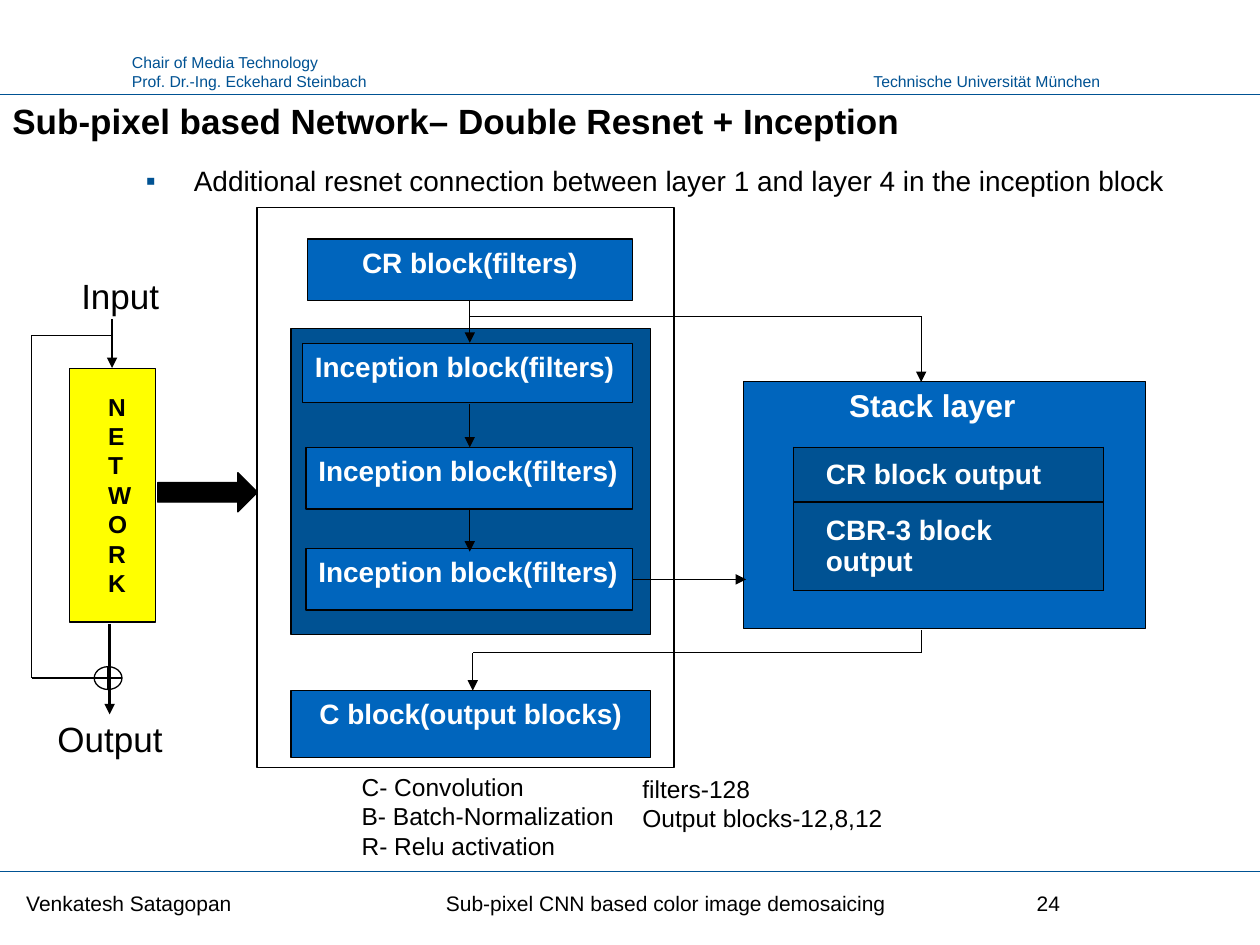
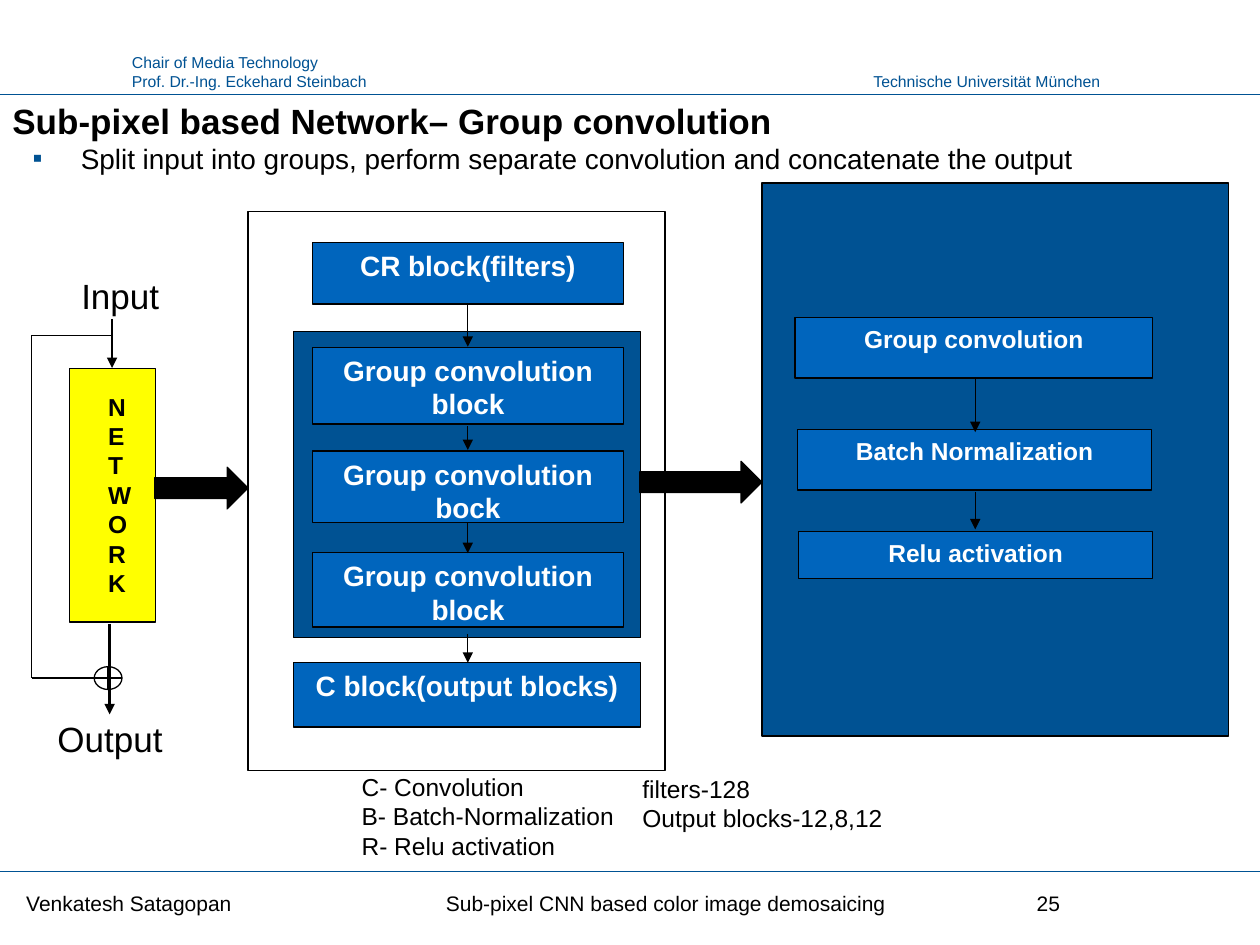
"""Build two slides on sub-pixel demosaicing networks."""
from lxml import etree
from pptx import Presentation
from pptx.dml.color import RGBColor
from pptx.enum import shapes, text
from pptx.oxml import ns
from pptx.util import Cm, Pt

COLOURS = {"black": "000000", "white": "FFFFFF", "navy": "005293",
           "blue": "0065BD", "yellow": "FFFF00"}
FONT = "Arial"
LEFT, CENTRE, RIGHT = text.PP_ALIGN.LEFT, text.PP_ALIGN.CENTER, text.PP_ALIGN.RIGHT
KIND = shapes.MSO_SHAPE
FOOTER = "Venkatesh Satagopan\tSub-pixel CNN based color image demosaicing"


def colour(name):
    """Return a palette colour."""
    return RGBColor.from_string(COLOURS[name])


def add_xml(parent, tag, **attributes):
    """Append a drawing element to its parent."""
    return etree.SubElement(parent, ns.qn(tag), attributes)


def add_colour_xml(parent, name):
    """Append a palette colour element."""
    add_xml(parent, "a:srgbClr", val=COLOURS[name])


def write(frame, lines, size, ink="black", bold=False, align=LEFT):
    """Write one paragraph per line into a text frame."""
    for index, line in enumerate(lines):
        para = frame.add_paragraph() if index else frame.paragraphs[0]
        para.alignment = align
        span = para.add_run()
        span.text = line
        span.font.name = FONT
        span.font.size = Pt(size)
        span.font.bold = bold
        span.font.color.rgb = colour(ink)


def add_text(page, place, lines, size, wrap=True, anchor=text.MSO_ANCHOR.TOP, **style):
    """Add a text box at left, top, width, height in centimetres."""
    box = page.shapes.add_textbox(*map(Cm, place))
    box.text_frame.word_wrap = wrap
    box.text_frame.vertical_anchor = anchor
    write(box.text_frame, lines, size, **style)
    return box


def add_block(page, place, fill, label=None, size=16, align=CENTRE, kind=KIND.RECTANGLE):
    """Add an outlined shape with an optional white label."""
    block = page.shapes.add_shape(kind, *map(Cm, place))
    block.shadow.inherit = False
    block.fill.solid()
    block.fill.fore_color.rgb = colour(fill)
    block.line.color.rgb = colour("black")
    block.line.width = Pt(0.75)
    if label:
        block.text_frame.word_wrap = True
        block.text_frame.vertical_anchor = text.MSO_ANCHOR.TOP
        write(block.text_frame, [label], size, "white", True, align)


def add_big_arrow(page, place):
    """Add a thick black arrow pointing right."""
    add_block(page, place, "black", kind=KIND.RIGHT_ARROW)


def add_line(page, start, end, head=False, ink="black", width=0.75):
    """Add a straight line, with an arrowhead at its end if wanted."""
    line = page.shapes.add_connector(
        shapes.MSO_CONNECTOR.STRAIGHT, *map(Cm, (*start, *end)))
    line.line.color.rgb = colour(ink)
    line.line.width = Pt(width)
    if head:
        add_xml(line.line._get_or_add_ln(), "a:tailEnd", type="triangle")
    add_xml(line._element.spPr, "a:effectLst")


def add_route(page, *points, head=True):
    """Join points by lines, with an arrowhead on the last one."""
    for index, (start, end) in enumerate(zip(points, points[1:]), 2):
        add_line(page, start, end, head and index == len(points))


def add_down_arrows(page, x, spans):
    """Add vertical arrows at x for each top and bottom."""
    for top, bottom in spans:
        add_line(page, (x, top), (x, bottom), True)


def add_bullet(page, place, line):
    """Add a bulleted statement with a hanging indent."""
    box = add_text(page, place, [line], 16)
    properties = box.text_frame.paragraphs[0]._p.get_or_add_pPr()
    properties.set("marL", str(Cm(0.97)))
    properties.set("indent", str(-Cm(0.97)))
    add_colour_xml(add_xml(properties, "a:buClr"), "navy")
    add_xml(properties, "a:buFont", typeface=FONT)
    add_xml(properties, "a:buChar", char="▪")


def add_stack_table(page, left, top, width, rows):
    """Add a one-column table from row heights and lines."""
    table = page.shapes.add_table(
        len(rows), 1, Cm(left), Cm(top), Cm(width),
        Cm(sum(height for height, _ in rows))).table
    table.first_row = table.horz_banding = False
    for index, (height, lines) in enumerate(rows):
        table.rows[index].height = Cm(height)
        cell = table.cell(index, 0)
        cell.margin_left = Cm(0.65)
        cell.vertical_anchor = text.MSO_ANCHOR.MIDDLE
        for side in ("a:lnL", "a:lnR", "a:lnT", "a:lnB"):
            border = add_xml(cell._tc.get_or_add_tcPr(), side, w=str(Pt(1)))
            add_colour_xml(add_xml(border, "a:solidFill"), "black")
        cell.fill.solid()
        cell.fill.fore_color.rgb = colour("navy")
        write(cell.text_frame, lines, 16, "white", True)


def add_page(deck, title, number):
    """Add a slide with its header, title and footer."""
    page = deck.slides.add_slide(deck.slide_layouts[6])
    add_text(page, (17.3, 1.32, 5.13, 0.64), ["Technische Universität München"], 9,
             wrap=False, ink="navy", align=RIGHT)
    add_text(page, (2.41, 0.94, 5.28, 1.02),
             ["Chair of Media Technology", "Prof. Dr.-Ing. Eckehard Steinbach"], 9,
             wrap=False, ink="navy")
    for y in (1.9, 17.57):
        add_line(page, (0, y), (25.4, y), ink="navy")
    add_text(page, (0, 1.88, 20.57, 1.12), [title], 20, bold=True)
    middle = text.MSO_ANCHOR.MIDDLE
    footer = add_text(page, (0.28, 17.78, 19.86, 0.84), [FOOTER], 12, anchor=middle)
    properties = footer.text_frame.paragraphs[0]._p.get_or_add_pPr()
    add_xml(add_xml(properties, "a:tabLst"), "a:tab", pos=str(Cm(8.46)), algn="l")
    add_text(page, (20.65, 17.78, 3.33, 0.84), [str(number)], 12, anchor=middle)
    return page


def add_network(page):
    """Add the network with its residual loop and the legend."""
    add_block(page, (1.4, 7.43, 1.73, 5.11), "yellow")
    add_text(page, (1.93, 7.77, 0.69, 4.45), "NETWORK", 14, bold=True, align=CENTRE)
    add_text(page, (0.64, 5.41, 2.82, 1.12), ["Input"], 20, align=RIGHT)
    add_text(page, (0.84, 14.33, 2.69, 1.02), ["Output"], 20, align=RIGHT)
    add_block(page, (1.9, 13.44, 0.56, 0.46), "white", kind=KIND.FLOWCHART_OR)
    add_line(page, (2.21, 12.57), (2.21, 14.4), True, width=1.75)
    add_down_arrows(page, 2.26, [(6.43, 7.42)])
    add_route(page, (2.26, 6.76), (0.64, 6.76), (0.64, 13.67), (2.46, 13.67), head=False)
    add_text(page, (7.04, 15.44, 7.87, 2.06),
             ["C- Convolution", "B- Batch-Normalization", "R- Relu activation"], 14)
    add_text(page, (12.7, 15.47, 7.87, 1.45), ["filters-128", "Output blocks-12,8,12"], 14)


def add_pipeline(page, frame, group, first, last):
    """Add the framed pipeline with its first and last blocks."""
    add_block(page, frame, "white")
    add_block(page, group, "navy")
    add_block(page, first, "blue", "CR block(filters)")
    add_block(page, last, "blue", "C block(output blocks)")


def draw_double_resnet(deck):
    """Draw the double resnet and inception slide."""
    page = add_page(deck, "Sub-pixel based Network– Double Resnet + Inception", 24)
    add_network(page)
    add_pipeline(page, (5.18, 4.19, 8.41, 11.28), (5.87, 6.62, 7.24, 6.17),
                 (6.2, 4.82, 6.55, 1.24), (5.87, 13.92, 7.24, 1.35))
    for place in ((6.1, 6.92, 6.65, 1.19), (6.17, 9.02, 6.58, 1.24),
                  (6.17, 11.06, 6.58, 1.24)):
        add_block(page, place, "blue", "Inception block(filters)", align=LEFT)
    add_down_arrows(page, 9.47, [(6.07, 6.91), (8.15, 9.02), (10.24, 11.12)])
    add_big_arrow(page, (3.18, 9.53, 2.01, 0.79))
    add_block(page, (14.99, 7.69, 8.1, 4.98), "blue")
    add_text(page, (15.67, 7.65, 5.05, 1.02), ["Stack layer"], 18,
             ink="white", bold=True, align=RIGHT)
    add_stack_table(page, 16, 9.02, 6.25, [
        (1.1, ["CR block output"]), (1.78, ["CBR-3 block", "output"])])
    add_route(page, (9.47, 6.38), (18.57, 6.38), (18.57, 7.7))
    add_route(page, (12.75, 11.68), (15.04, 11.68))
    add_route(page, (18.57, 12.7), (18.57, 13.16), (9.53, 13.16), (9.53, 13.92))
    add_bullet(page, (2.69, 3.18, 21.49, 1.2),
               "Additional resnet connection between layer 1 and layer 4 in the inception block")


def draw_group_convolution(deck):
    """Draw the group convolution slide."""
    page = add_page(deck, "Sub-pixel based Network– Group convolution", 25)
    add_network(page)
    add_pipeline(page, (5, 4.26, 8.41, 11.28), (5.92, 6.69, 6.99, 6.17),
                 (6.3, 4.89, 6.27, 1.24), (5.92, 13.36, 6.99, 1.3))
    for top, height, word in ((7, 1.55, "block"), (9.09, 1.45, "bock"), (11.14, 1.5, "block")):
        add_block(page, (6.3, top, 6.27, height), "blue", f"Group convolution {word}")
    add_down_arrows(page, 9.43, [(6.15, 6.99), (8.59, 9.07), (10.54, 11.15), (12.78, 13.36)])
    add_big_arrow(page, (3.12, 9.42, 1.88, 0.84))
    add_bullet(page, (0.41, 2.72, 24.33, 0.94),
               "Split input into groups, perform separate convolution and concatenate the output")
    add_block(page, (15.36, 3.69, 9.4, 11.15), "navy")
    for place, label in (((16.03, 6.4, 7.21, 1.22), "Group convolution"),
                         ((16.08, 8.66, 7.14, 1.22), "Batch Normalization"),
                         ((16.1, 10.72, 7.14, 0.94), "Relu activation")):
        add_block(page, place, "blue", label, size=14)
    add_down_arrows(page, 19.66, [(7.62, 8.71), (9.91, 10.67)])
    add_big_arrow(page, (12.9, 9.3, 2.46, 0.84))


def main():
    """Build and save the deck."""
    deck = Presentation()
    deck.slide_width, deck.slide_height = Cm(25.4), Cm(19.05)
    draw_double_resnet(deck)
    draw_group_convolution(deck)
    deck.save("out.pptx")


if __name__ == "__main__":
    main()
